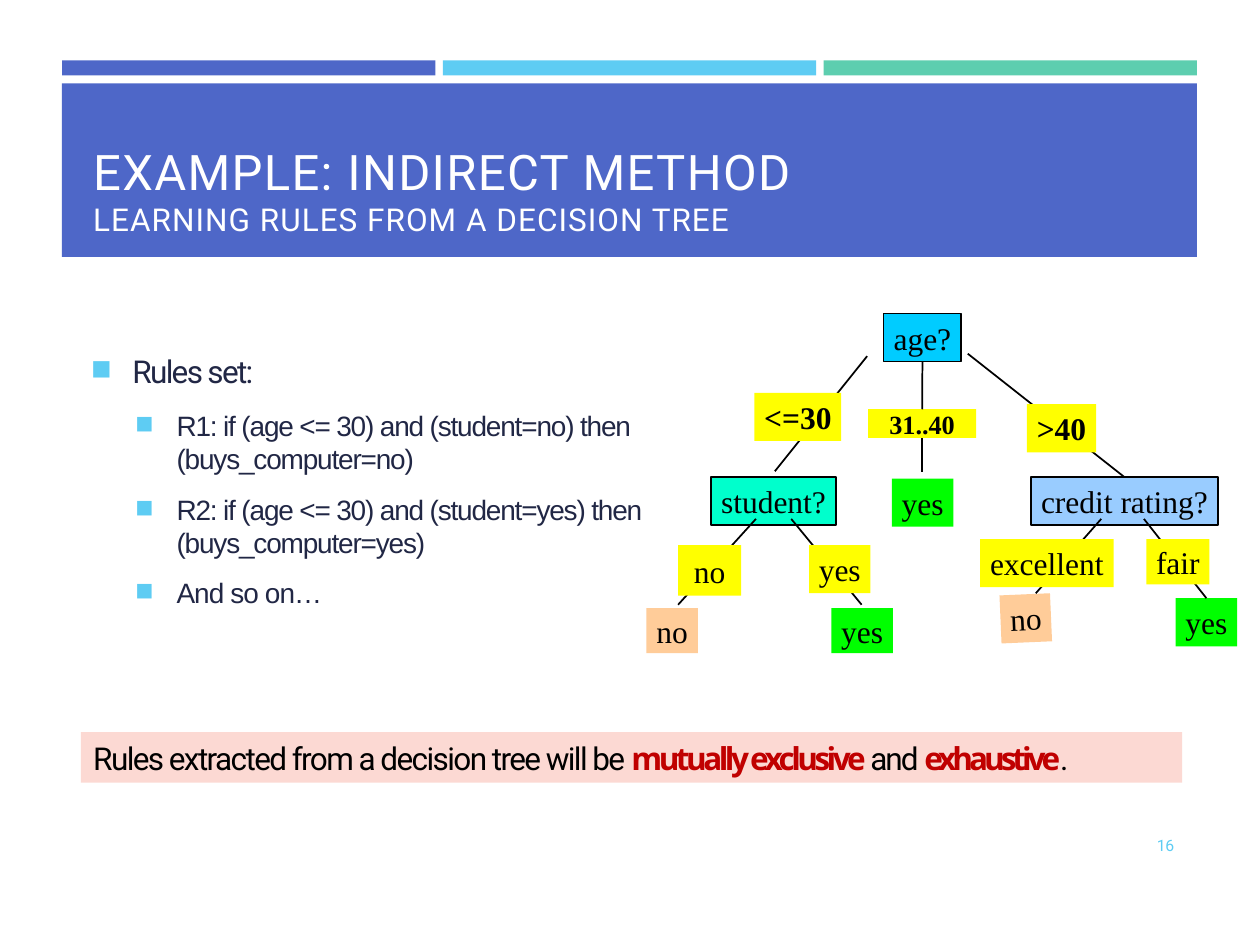
from lxml import etree
from pptx import Presentation
from pptx.dml.color import RGBColor
from pptx.enum.shapes import MSO_CONNECTOR, MSO_SHAPE
from pptx.enum.text import MSO_ANCHOR, PP_ALIGN
from pptx.oxml.ns import qn
from pptx.util import Cm, Pt

STRAIGHT, RECTANGLE = MSO_CONNECTOR.STRAIGHT, MSO_SHAPE.RECTANGLE
TOP, MIDDLE = MSO_ANCHOR.TOP, MSO_ANCHOR.MIDDLE
LEFT, CENTER, RIGHT = PP_ALIGN.LEFT, PP_ALIGN.CENTER, PP_ALIGN.RIGHT
TOP_SIDE, BOTTOM_SIDE = 0, 2

BLUE = RGBColor(0x4E, 0x67, 0xC8)
SKY = RGBColor(0x5E, 0xCC, 0xF3)
TEAL = RGBColor(0x5D, 0xCE, 0xAF)
NAVY = RGBColor(0x21, 0x27, 0x45)
WHITE = RGBColor(0xFF, 0xFF, 0xFF)
BLACK = RGBColor(0, 0, 0)
RED = RGBColor(0xC0, 0, 0)
PINK = RGBColor(0xFC, 0xD9, 0xD3)
CYAN = RGBColor(0, 0xCC, 0xFF)
MINT = RGBColor(0, 0xFF, 0xCC)
PALE_BLUE = RGBColor(0x99, 0xCC, 0xFF)
YELLOW = RGBColor(0xFF, 0xFF, 0)
GREEN = RGBColor(0, 0xFF, 0)
PEACH = RGBColor(0xFF, 0xCC, 0x99)


def add_rectangle(page, left, top, width, height, fill, line=None):
    """Add a flat rectangle measured in centimetres."""
    box = page.shapes.add_shape(RECTANGLE, Cm(left), Cm(top), Cm(width), Cm(height))
    box.shadow.inherit = False
    box.fill.solid()
    box.fill.fore_color.rgb = fill
    if line is None:
        box.line.fill.background()
    else:
        box.line.color.rgb = line
        box.line.width = Pt(1)
    return box


def prepare_frame(shape, left=0, top=0, anchor=TOP):
    """Set the insets, wrapping and anchor of a shape's text."""
    frame = shape.text_frame
    frame.margin_left, frame.margin_top = Cm(left), Cm(top)
    frame.margin_right = frame.margin_bottom = 0
    frame.word_wrap = True
    frame.vertical_anchor = anchor
    return frame


def style_run(span, font, size, color, bold=False, spacing=0):
    """Format one run, with letter spacing in points."""
    span.font.name = font
    span.font.size = Pt(size)
    span.font.color.rgb = color
    span.font.bold = bold
    if spacing:
        span.font._element.set("spc", str(round(spacing * 100)))


def add_bullet(para, margin, hanging):
    """Give a paragraph a hanging square bullet."""
    properties = para._p.get_or_add_pPr()
    properties.set("marL", str(Cm(margin)))
    properties.set("indent", str(-Cm(hanging)))
    color = etree.SubElement(properties, qn("a:buClr"))
    etree.SubElement(color, qn("a:srgbClr")).set("val", str(SKY))
    etree.SubElement(properties, qn("a:buSzPct")).set("val", "94000")
    etree.SubElement(properties, qn("a:buChar")).set("char", "◾")


def add_header(page, left, top, width):
    """Draw the three stripes and the title banner."""
    gap = 0.15
    stripe = (width - 2 * gap) / 3
    for index, color in enumerate((BLUE, SKY, TEAL)):
        add_rectangle(page, left + index * (stripe + gap), top, stripe, 0.3, color)
    banner = add_rectangle(page, left, top + 0.46, width, 3.5, BLUE)
    frame = prepare_frame(banner, 0.63, 1.17)
    frame.text = "EXAMPLE: INDIRECT METHOD\nLEARNING RULES FROM A DECISION TREE"
    for para, size, spacing in zip(frame.paragraphs, (28, 18), (0.8, 0.6)):
        para.alignment = LEFT
        style_run(para.runs[0], "Roboto", size, WHITE, spacing=spacing)


def add_rules(page, left, top, width, height):
    """Write the bulleted rule set."""
    box = page.shapes.add_textbox(Cm(left), Cm(top), Cm(width), Cm(height))
    frame = prepare_frame(box, top=0.46)
    rules = (
        ("R1: if (age <= 30) and (student=no) then (buys_computer=no)", 11.2, -0.65),
        ("R2: if (age <= 30) and (student=yes) then (buys_computer=yes)", 10, -0.65),
        ("And so on…", 9.2, -0.5),
    )
    heading = frame.paragraphs[0]
    heading.text = "Rules set:"
    style_run(heading.runs[0], "Roboto", 18, NAVY, spacing=-0.95)
    add_bullet(heading, 0.89, 0.84)
    for text, before, spacing in rules:
        para = frame.add_paragraph()
        para.text = text
        para.level = 1
        para.line_spacing = Pt(19)
        para.space_before = Pt(before)
        style_run(para.runs[0], "Arial", 16, NAVY, spacing=spacing)
        add_bullet(para, 1.78, 0.84)


def add_tree(page, left, top):
    """Draw the decision tree."""

    def add_node(text, x, y, width, fill, height=0.97, line=None, bold=False, size=18):
        """Add a labelled node of the tree."""
        box = add_rectangle(page, left + x, top + y, width, height, fill, line)
        frame = prepare_frame(box, anchor=MIDDLE)
        frame.word_wrap = False
        para = frame.paragraphs[0]
        para.text = text
        para.alignment = CENTER
        style_run(para.runs[0], "Times New Roman", size, BLACK, bold)
        return box

    def add_edge(start, end):
        """Join two ends, each a point or a node."""
        points = [(0, 0) if hasattr(place, "text_frame") else place for place in (start, end)]
        (x1, y1), (x2, y2) = points
        edge = page.shapes.add_connector(
            STRAIGHT, Cm(left + x1), Cm(top + y1), Cm(left + x2), Cm(top + y2))
        if hasattr(start, "text_frame"):
            edge.begin_connect(start, BOTTOM_SIDE)
        if hasattr(end, "text_frame"):
            edge.end_connect(end, TOP_SIDE)
        edge.line.color.rgb = BLACK
        edge.line.width = Pt(1)
        etree.SubElement(edge._element.spPr, qn("a:effectLst"))

    age = add_node("age?", 4.78, 0, 1.57, CYAN, line=BLACK)
    add_node("student?", 1.3, 3.3, 2.53, MINT, line=BLACK)
    credit = add_node("credit rating?", 7.75, 3.3, 3.78, PALE_BLUE, line=BLACK)
    middle_age = add_node("31..40", 4.47, 1.93, 2.18, YELLOW, height=0.58, bold=True, size=15)
    add_node("no", 0, 5.94, 1.04, PEACH, height=0.91)
    add_node("yes", 3.73, 5.94, 1.24, GREEN, height=0.91)
    add_node("yes", 4.95, 3.33, 1.24, GREEN)
    fair_leaf = add_node("yes", 10.67, 5.74, 1.24, GREEN)
    add_node("no", 7.14, 5.66, 1.02, PEACH).rotation = -2.5

    for start, end in (
        ((4.45, 0.86), (2.59, 3.18)),
        (age, middle_age),
        (middle_age, (5.56, 3.2)),
        ((6.48, 0.81), credit),
        ((2.21, 4.14), (0.64, 5.87)),
        ((2.92, 4.14), (4.34, 5.87)),
        ((9.17, 4.14), (7.85, 5.64)),
        ((10.03, 4.14), fair_leaf),
    ):
        add_edge(start, end)

    add_node("<=30", 2.18, 1.6, 1.75, YELLOW, bold=True)
    add_node(">40", 7.67, 1.83, 1.4, YELLOW, bold=True)
    add_node("no", 0.64, 4.67, 1.27, YELLOW, height=1.02)
    add_node("yes", 3.28, 4.67, 1.24, YELLOW)
    add_node("excellent", 6.73, 4.55, 2.69, YELLOW)
    add_node("fair", 10.08, 4.55, 1.27, YELLOW, height=0.91)


def add_conclusion(page, left, top, width, height):
    """Write the highlighted conclusion."""
    box = add_rectangle(page, left, top, width, height, PINK)
    para = prepare_frame(box, 0.25, anchor=MIDDLE).paragraphs[0]
    para.alignment = LEFT
    for text, strong, spacing in (
        ("Rules extracted from a decision tree will be ", False, -0.9),
        ("mutually exclusive ", True, -2),
        ("and ", False, -1.2),
        ("exhaustive", True, -2.3),
        (".", False, 0),
    ):
        span = para.add_run()
        span.text = text
        font, color = ("Open Sans", RED) if strong else ("Roboto", BLACK)
        style_run(span, font, 18, color, strong, spacing)


def add_page_number(page, left, top, width, height):
    """Write the page number."""
    box = page.shapes.add_textbox(Cm(left), Cm(top), Cm(width), Cm(height))
    para = prepare_frame(box).paragraphs[0]
    para.text = "16"
    para.alignment = RIGHT
    style_run(para.runs[0], "Roboto", 9, SKY, spacing=-0.2)


def main():
    """Build and save the deck."""
    deck = Presentation()
    deck.slide_width, deck.slide_height = Cm(25.4), Cm(19.05)
    page = deck.slides.add_slide(deck.slide_layouts[6])
    add_header(page, 1.25, 1.22, 22.88)
    add_rules(page, 1.78, 6.63, 11.2, 5.66)
    add_tree(page, 13.03, 6.32)
    add_page_number(page, 23.14, 16.84, 0.53, 0.43)
    add_conclusion(page, 1.63, 14.76, 22.2, 1.02)
    deck.save("out.pptx")


if __name__ == "__main__":
    main()
